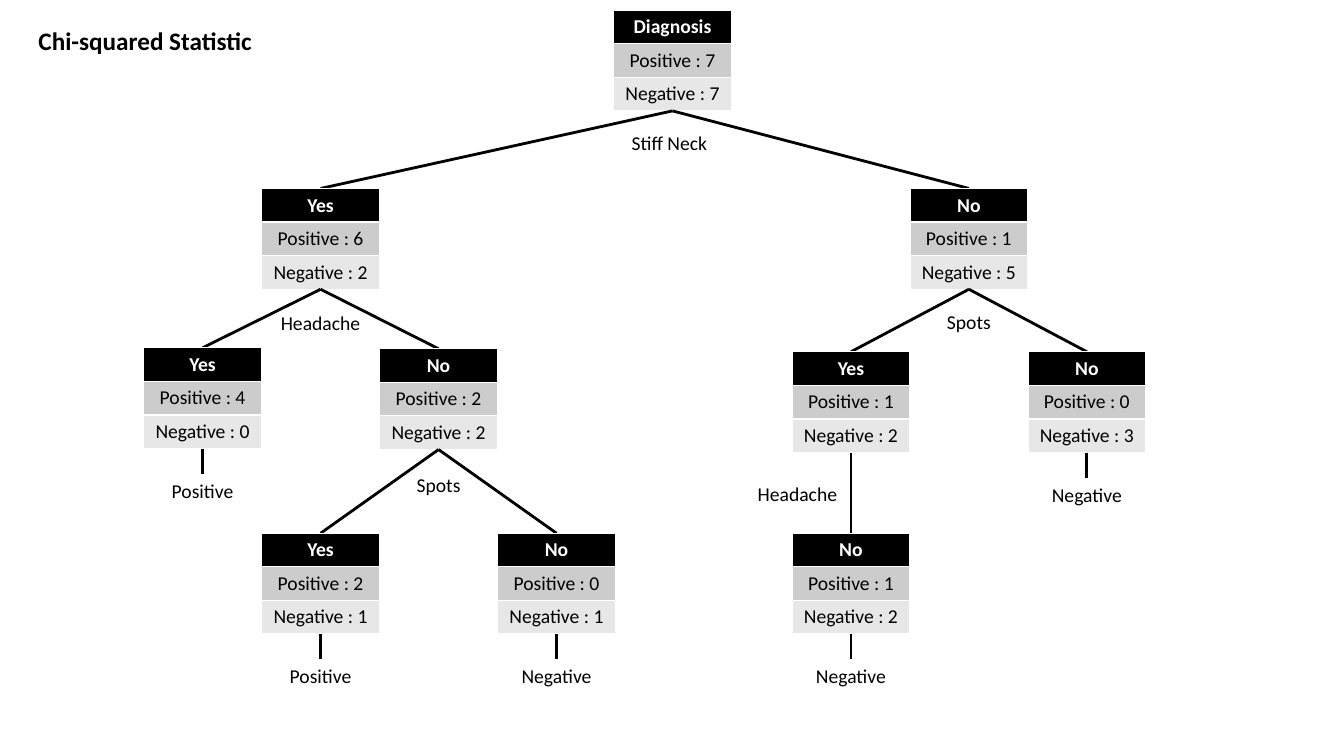
"""Build a slide with a chi-squared decision tree for a diagnosis."""
from dataclasses import dataclass

from lxml.etree import SubElement
from pptx import Presentation
from pptx.dml.color import RGBColor
from pptx.enum.shapes import MSO_CONNECTOR
from pptx.enum.text import MSO_ANCHOR, MSO_AUTO_SIZE, PP_ALIGN
from pptx.oxml.ns import qn
from pptx.slide import Slide
from pptx.util import Inches, Pt

BLACK = RGBColor(0x00, 0x00, 0x00)
WHITE = RGBColor(0xFF, 0xFF, 0xFF)
MID_GREY = RGBColor(0xCC, 0xCC, 0xCC)
LIGHT_GREY = RGBColor(0xE7, 0xE7, 0xE7)
FONT = "Calibri"
NODE_W, NODE_H = 1.17, 1.0
LEAF_DROP = 0.25
LABEL_W, LABEL_H = 1.0, 0.34


@dataclass(frozen=True)
class Split:
    attribute: str
    drop: float
    shift: float = 0.0


@dataclass(frozen=True)
class Node:
    heading: str
    x: float
    y: float
    positive: int
    negative: int
    split: Split | None = None
    children: tuple["Node", ...] = ()
    outcome: str = ""

    @property
    def bottom(self) -> float:
        return self.y + NODE_H


HEADACHE_YES = Node("Yes", 2.01, 3.45, 4, 0, outcome="Positive")
HEADACHE_NO = Node("No", 4.35, 3.46, 2, 2, Split("Spots", 0.18), (
    Node("Yes", 3.18, 5.29, 2, 1, outcome="Positive"),
    Node("No", 5.52, 5.29, 0, 1, outcome="Negative"),
))
SPOTS_YES = Node("Yes", 8.44, 3.49, 1, 2, Split("Headache", 0.24, -0.53), (
    Node("No", 8.44, 5.29, 1, 2, outcome="Negative"),
))
SPOTS_NO = Node("No", 10.78, 3.49, 0, 3, outcome="Negative")
ROOT = Node("Diagnosis", 6.67, 0.1, 7, 7, Split("Stiff Neck", 0.15, -0.03), (
    Node("Yes", 3.18, 1.87, 6, 2, Split("Headache", 0.17), (HEADACHE_YES, HEADACHE_NO)),
    Node("No", 9.61, 1.87, 1, 5, Split("Spots", 0.16), (SPOTS_YES, SPOTS_NO)),
))


def style_text(tf, text: str, size: int, color: RGBColor, bold: bool) -> None:
    """Write one centred paragraph."""
    tf.text = text
    p = tf.paragraphs[0]
    p.alignment = PP_ALIGN.CENTER
    p.font.name, p.font.size, p.font.bold = FONT, Pt(size), bold
    p.font.color.rgb = color


def add_table(s: Slide, node: Node) -> None:
    """Draw the table of a node."""
    rows = (
        (node.heading, BLACK, WHITE, True),
        (f"Positive : {node.positive}", MID_GREY, BLACK, False),
        (f"Negative : {node.negative}", LIGHT_GREY, BLACK, False),
    )
    table = s.shapes.add_table(
        len(rows), 1, Inches(node.x - NODE_W / 2), Inches(node.y),
        Inches(NODE_W), Inches(NODE_H)).table
    for i, (text, fill, color, bold) in enumerate(rows):
        cell = table.cell(i, 0)
        cell.margin_top = cell.margin_bottom = Inches(0.04)
        cell.vertical_anchor = MSO_ANCHOR.MIDDLE
        cell.fill.solid()
        cell.fill.fore_color.rgb = fill
        style_text(cell.text_frame, text, 14, color, bold)


def add_line(s: Slide, x1: float, y1: float, x2: float, y2: float) -> None:
    """Draw a branch."""
    line = s.shapes.add_connector(
        MSO_CONNECTOR.STRAIGHT, Inches(x1), Inches(y1), Inches(x2), Inches(y2))
    line.line.color.rgb = BLACK
    line.line.width = Pt(2)
    SubElement(line._element.spPr, qn("a:effectLst"))


def add_label(s: Slide, text: str, x: float, y: float) -> None:
    """Write a label centred on x."""
    sp = s.shapes.add_textbox(
        Inches(x - LABEL_W / 2), Inches(y), Inches(LABEL_W), Inches(LABEL_H))
    sp.text_frame.word_wrap = False
    style_text(sp.text_frame, text, 14, BLACK, False)


def add_node(s: Slide, node: Node) -> None:
    """Draw a node and everything below it."""
    add_table(s, node)
    if node.split:
        add_label(s, node.split.attribute, node.x + node.split.shift,
                  node.bottom + node.split.drop)
    for child in node.children:
        add_line(s, node.x, node.bottom, child.x, child.y)
        add_node(s, child)
    if node.outcome:
        leaf_y = node.bottom + LEAF_DROP
        add_line(s, node.x, node.bottom, node.x, leaf_y)
        add_label(s, node.outcome, node.x, leaf_y)


def add_title(s: Slide, text: str) -> None:
    """Place and format the title."""
    sp = s.shapes.title
    sp.left, sp.top, sp.width, sp.height = map(Inches, (0.11, 0.2, 2.66, 0.4))
    tf = sp.text_frame
    style_text(tf, text, 18, BLACK, True)
    tf.auto_size = MSO_AUTO_SIZE.NONE
    tf.vertical_anchor = MSO_ANCHOR.MIDDLE


def main() -> None:
    """Build and save the presentation."""
    prs = Presentation()
    prs.slide_width, prs.slide_height = Inches(13.33), Inches(7.5)
    s = prs.slides.add_slide(prs.slide_layouts[5])
    add_title(s, "Chi-squared Statistic")
    add_node(s, ROOT)
    prs.save("out.pptx")


main()
